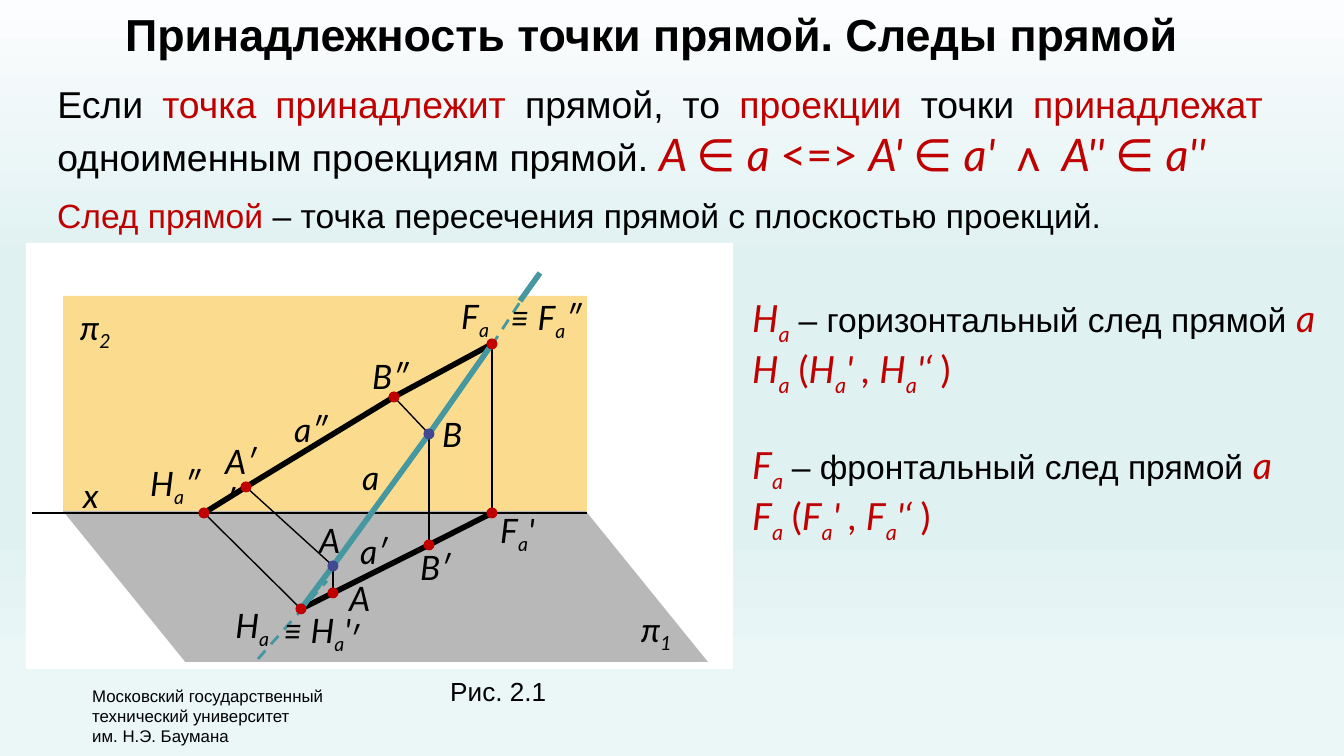
from lxml import etree
from pptx import Presentation
from pptx.dml.color import RGBColor
from pptx.enum.dml import MSO_LINE
from pptx.enum.shapes import MSO_CONNECTOR, MSO_SHAPE
from pptx.enum.text import MSO_AUTO_SIZE, PP_ALIGN
from pptx.oxml.ns import qn
from pptx.util import Emu, Pt

RECT, FLOOR, DOT = MSO_SHAPE.RECTANGLE, MSO_SHAPE.PARALLELOGRAM, MSO_SHAPE.FLOWCHART_CONNECTOR
STRAIGHT, DASH = MSO_CONNECTOR.STRAIGHT, MSO_LINE.DASH
LEFT, JUSTIFY = PP_ALIGN.LEFT, PP_ALIGN.JUSTIFY
GROW = MSO_AUTO_SIZE.SHAPE_TO_FIT_TEXT

BLACK = RGBColor(0x00, 0x00, 0x00)
WHITE = RGBColor(0xFF, 0xFF, 0xFF)
RED = RGBColor(0xC0, 0x00, 0x00)
BLUE = RGBColor(0x41, 0x49, 0x93)
TEAL = RGBColor(0x45, 0x97, 0xA0)
YELLOW = RGBColor(0xFB, 0xDC, 0x8F)
GREY = RGBColor(0xB8, 0xB8, 0xB8)

PX = 9144000 / 1344  # EMU in one px

prs = Presentation()
prs.slide_width, prs.slide_height = Emu(9144000), Emu(round(756 * PX))
slide = prs.slides.add_slide(prs.slide_layouts[6])


def px(*values):
    return [Emu(round(v * PX)) for v in values]


def add_text(box, paragraphs, wrap=True, align=LEFT, gaps=(), **base):
    """Each paragraph is a list of (text, format); _x_ in a text sets x as subscript."""
    tf = slide.shapes.add_textbox(*px(*box)).text_frame
    tf.word_wrap, tf.auto_size = wrap, GROW
    for i, runs in enumerate(paragraphs):
        p = tf.paragraphs[0] if i == 0 else tf.add_paragraph()
        p.alignment = align
        if i in gaps:
            p.space_before = Pt(24)
        for text, own in runs:
            f = {"size": 18, "font": "Arial", "color": BLACK, "bold": False, "italic": False, **base, **own}
            for j, part in enumerate(text.split("_")):
                if not part:
                    continue
                r = p.add_run()
                r.text = part
                r.font.name, r.font.size = f["font"], Pt(f["size"])
                r.font.bold, r.font.italic = f["bold"], f["italic"]
                r.font.color.rgb = f["color"]
                if j % 2:
                    r.font._element.set("baseline", "-25000")


# Background gradient, top to bottom
slide.background.fill.gradient()
grad = slide._element.find(".//" + qn("a:gradFill"))
stops = grad.find(qn("a:gsLst"))
for gs in list(stops):
    stops.remove(gs)
for pos, color in [(0, "FCFDFE"), (35, "E0F1F2"), (69, "E0F1F2"), (88, "EBF6F7"), (100, "EBF6F7")]:
    gs = etree.SubElement(stops, qn("a:gs"), pos=str(pos * 1000))
    etree.SubElement(gs, qn("a:srgbClr"), val=color)
grad.find(qn("a:lin")).set("ang", "5400000")

# Projection planes
for kind, box, color in [
    (RECT, (26, 243, 707, 426), WHITE),
    (RECT, (63, 296, 524, 216), YELLOW),
    (FLOOR, (63, 511, 645, 151), GREY),
]:
    sp = slide.shapes.add_shape(kind, *px(*box))
    sp.shadow.inherit = False
    sp.fill.solid()
    sp.fill.fore_color.rgb = color
    sp.line.fill.background()
    if kind == FLOOR:
        sp.adjustments[0] = 0.81
        sp._element.spPr.find(qn("a:xfrm")).set("flipH", "1")

# Points of the drawing: 1 and 2 mark the horizontal and frontal projections
points = {
    "A": (333, 566), "A1": (333, 593), "A2": (246, 487),
    "B": (429, 434), "B1": (429, 545), "B2": (394, 397),
    "H": (301, 609), "H2": (204, 513),
    "F": (492, 344), "F1": (492, 513),
}

# Axis, projecting lines, projections of the line, the line itself
lines = [((587, 513), (32, 513), BLACK, 1.25, None)]
for color, width, pairs in [
    (BLACK, 0.75, "B-B1 B-B2 H2-H F1-F A2-A A-A1"),
    (BLACK, 3, "H-A1 A1-B1 B1-F1 H2-A2 A2-B2 B2-F"),
    (TEAL, 3, "H-A A-B B-F"),
]:
    for pair in pairs.split():
        start, end = pair.split("-")
        lines.append((points[start], points[end], color, width, None))
lines += [
    ((481, 362), (524, 296), TEAL, 1.5, DASH),
    ((520, 301), (540, 273), TEAL, 3, None),
    ((258, 659), (327, 581), TEAL, 1.5, DASH),
]
for start, end, color, width, dash in lines:
    c = slide.shapes.add_connector(STRAIGHT, *px(*start, *end))
    c.line.color.rgb, c.line.width = color, Pt(width)
    if dash:
        c.line.dash_style = dash
    etree.SubElement(c._element.spPr, qn("a:effectLst"))

# Dots
for name, (x, y) in points.items():
    sp = slide.shapes.add_shape(DOT, *px(x - 5.5, y - 5.5, 11, 11))
    sp.shadow.inherit = False
    sp.fill.solid()
    sp.fill.fore_color.rgb = BLUE if name in ("A", "B") else RED
    sp.line.fill.background()

# Labels of the drawing; the last two break inside their narrow boxes
for text, x, y, w, wrap in [
    ("π_1_", 628, 602, 58, False), ("π_2_", 67, 300, 62, False),
    ("x", 70, 468, 44, False), ("а", 349, 450, 47, False),
    ("а′", 347, 524, 54, False), ("а″", 281, 402, 60, False),
    ("A", 306, 513, 50, False), ("B", 429, 407, 47, False),
    ("B′", 407, 540, 63, False), ("B″", 359, 349, 70, False),
    ("H_а_", 222, 598, 72, False), ("≡ H_а_'", 270, 603, 103, False),
    ("H_а_″", 137, 456, 83, False), ("F_а_", 448, 289, 67, False),
    ("≡ F_а_″", 497, 290, 106, False), ("F_а_'", 487, 503, 75, False),
    ("A′", 336, 571, 54, True), ("A′′", 212, 434, 64, True),
]:
    add_text((x, y, w, 54), [[(text, {})]], wrap=wrap, font="Lato", italic=True)

# Title and statements
red = {"color": RED}
math = {"font": "Lato", "size": 24, "color": RED, "italic": True}
sign = {**math, "italic": False}
add_text((112, 0, 1300, 69), [[("Принадлежность точки прямой. Следы прямой", {})]], size=24, bold=True)
add_text((44, 75, 1232, 113), [[
    ("Если ", {}), ("точка принадлежит ", red), ("прямой, то ", {}), ("проекции ", red),
    ("точки ", {}), ("принадлежат", red), (" одноименным проекциям прямой. ", {}),
    ("A ", math), ("∈ ", sign), ("а ", math), ("<=>", sign), (" A' ", math), ("∈ ", sign),
    ("а' ", math), (" ᴧ ", sign), (" A'' ", math), ("∈ ", sign), ("а''", math),
]], size=20, align=JUSTIFY)
add_text((44, 188, 1266, 54), [[
    ("След прямой ", red), ("– точка пересечения прямой с плоскостью проекций.", {}),
]], align=JUSTIFY)

# Traces of the line
upright = {"italic": False}
words = {"size": 18, "font": "Arial", "color": BLACK, "italic": False}
traces = []
for name, kind in [("H", "горизонтальный"), ("F", "фронтальный")]:
    traces.append([(name + "_а_ ", {}), (f"– {kind} след прямой ", words), ("а", {})])
    traces.append([(name + "_а_ ", {}), ("(", upright), (f"{name}_а_' , {name}_а_'‘ ", {}), (")", upright)])
add_text((739, 289, 605, 239), traces, gaps=(2,), size=20, font="Lato", color=RED, italic=True)

# Footer and caption
footer = ["Московский государственный", "технический университет", "им. Н.Э. Баумана"]
add_text((79, 679, 266, 75), [[(line, {})] for line in footer], wrap=False, size=9)
add_text((437, 669, 124, 46), [[("Рис. 2.1", {})]], wrap=False, size=14)

prs.save("out.pptx")
